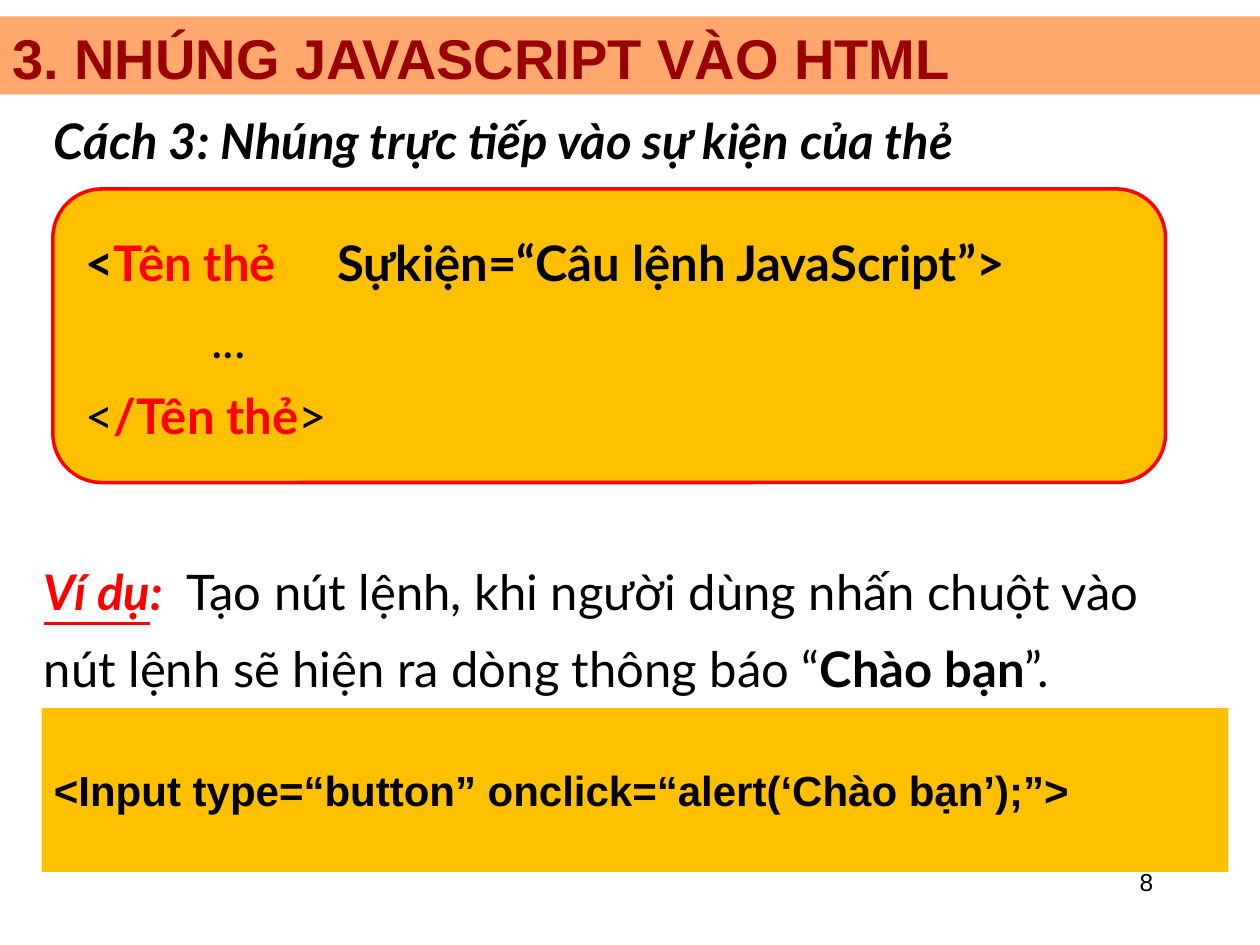
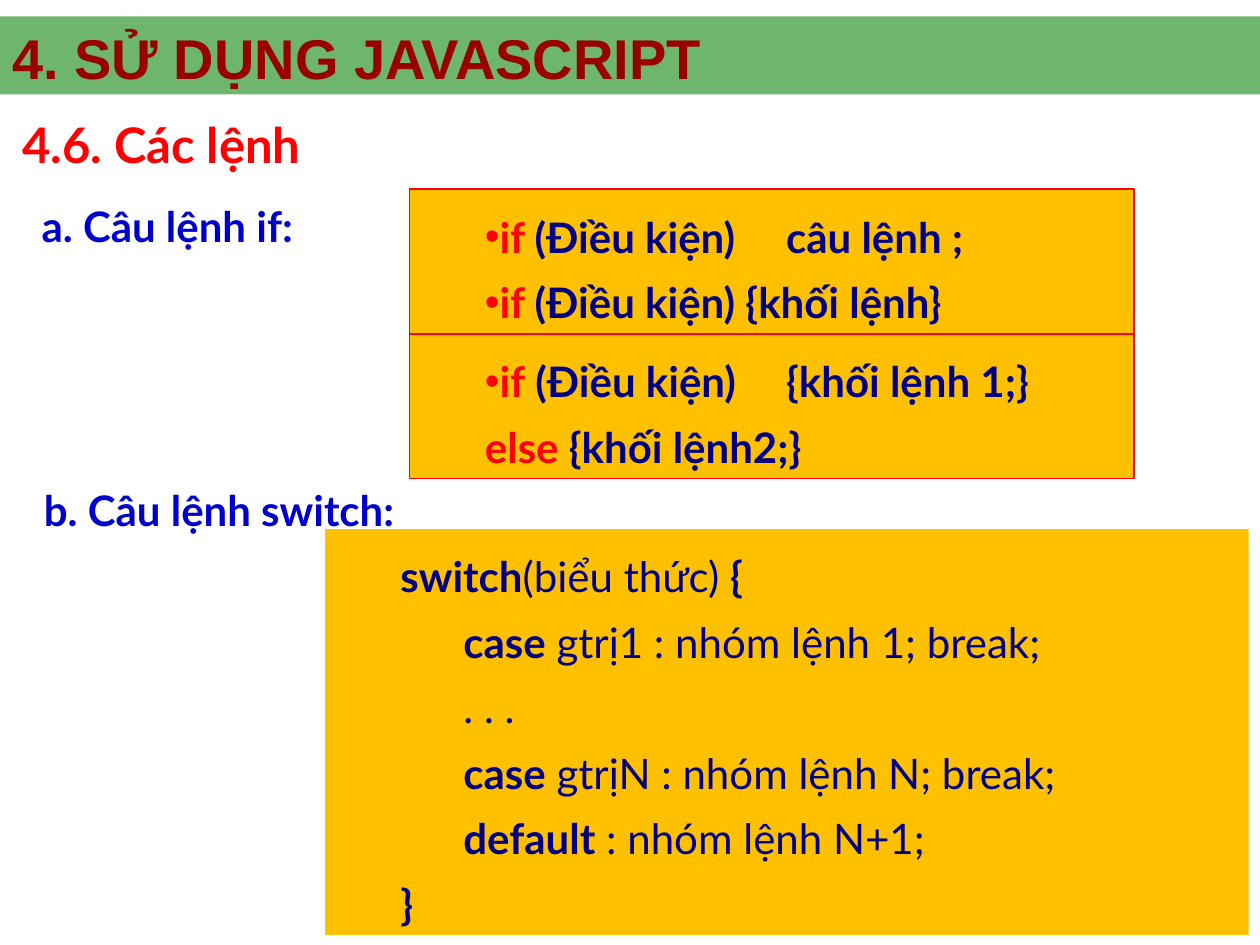
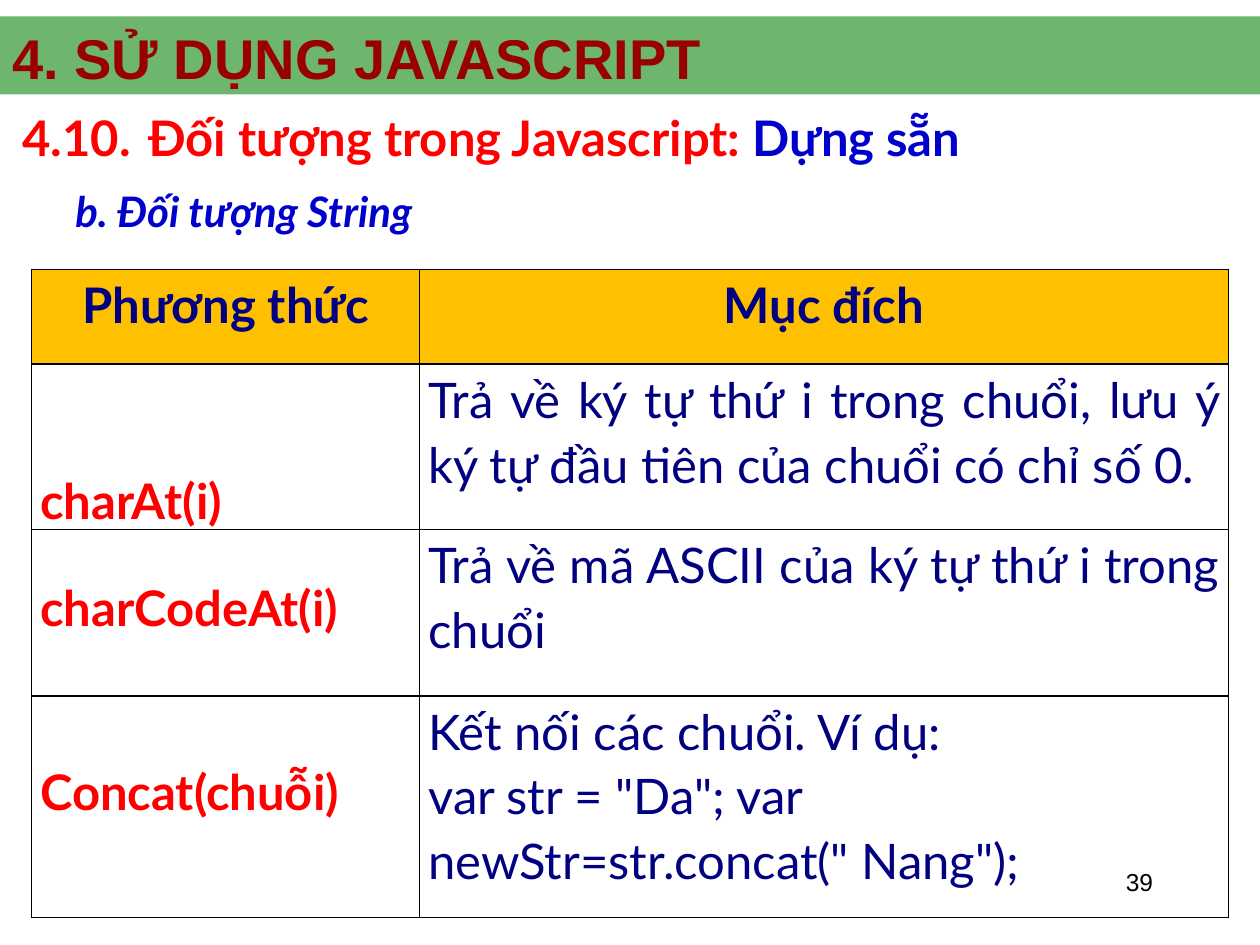
from lxml import etree
from pptx import Presentation, util as u
from pptx.dml.color import RGBColor
from pptx.enum import shapes, text
from pptx.oxml.ns import qn

WIDE, HIGH = 10, 7.5
BLACK = RGBColor(0, 0, 0)
RED = RGBColor(255, 0, 0)
BLUE = RGBColor(0, 0, 204)
NAVY = RGBColor(0, 0, 128)
MAROON = RGBColor(153, 0, 0)
GOLD = RGBColor(255, 192, 0)
ORANGE = RGBColor(255, 102, 0)
GREEN = RGBColor(0, 128, 0)
LEFT, MID, RIGHT, JUST = (text.PP_ALIGN.LEFT, text.PP_ALIGN.CENTER,
                          text.PP_ALIGN.RIGHT, text.PP_ALIGN.JUSTIFY)
TOP, CORE = text.MSO_ANCHOR.TOP, text.MSO_ANCHOR.MIDDLE
RECT, ROUND = shapes.MSO_SHAPE.RECTANGLE, shapes.MSO_SHAPE.ROUNDED_RECTANGLE

HEADS = [("3. NHÚNG JAVASCRIPT VÀO HTML", ORANGE, "8"),
         ("4. SỬ DỤNG JAVASCRIPT", GREEN, None),
         ("4. SỬ DỤNG JAVASCRIPT", GREEN, "39")]

WAY = [[("Cách 3: Nhúng trực tiếp vào sự kiện của thẻ", BLACK, "bi")]]
TAG = [
    [("<", BLACK, "b"), ("Tên thẻ\t", RED, "b"),
     ("Sựkiện=“Câu lệnh JavaScript”>", BLACK, "b")],
    [("...", BLACK, "")],
    [("<", BLACK, ""), ("/Tên thẻ", RED, "b"), (">", BLACK, "")],
]
DEMO = [[
    ("Ví dụ", RED, "biu"), (":\t", RED, "bi"),
    ("Tạo nút lệnh, khi người dùng nhấn chuột vào nút lệnh sẽ hiện ra "
     "dòng thông báo “", BLACK, ""),
    ("Chào bạn", BLACK, "b"), ("”.", BLACK, ""),
]]
INPUT = [[("<Input type=“button” onclick=“alert(‘Chào bạn’);”>", BLACK, "b")]]

IFS = [
    [[("if ", RED, "b"), ("(Điều kiện)\tcâu lệnh ;", NAVY, "b")],
     [("if ", RED, "b"), ("(Điều kiện) {khối lệnh}", NAVY, "b")]],
    [[("if", RED, "b"), (" (Điều kiện)\t{khối lệnh 1;}", NAVY, "b")],
     [("else", RED, "b"), (" {khối lệnh2;}", NAVY, "b")]],
]
SWITCH = [
    [("switch", NAVY, "b"), ("(biểu thức) ", NAVY, ""), ("{", NAVY, "b")],
    [("case", NAVY, "b"), (" gtrị1 : nhóm lệnh 1; break;", NAVY, "")],
    [(". . .", NAVY, "")],
    [("case", NAVY, "b"), (" gtrịN : nhóm lệnh N; break;", NAVY, "")],
    [("default", NAVY, "b"), (" : nhóm lệnh N+1;", NAVY, "")],
    [("}", NAVY, "b")],
]

COLS = [3.08, 6.42]
ROWS = [0.75, 1.31, 1.32, 1.76]
DROPS = [0, 0.8, 0.34, 0.48]
GRID = [
    ("Phương thức", ["Mục đích"]),
    ("charAt(i)", ["Trả về ký tự thứ i trong chuổi, lưu ý ký tự đầu tiên "
                   "của chuổi có chỉ số 0."]),
    ("charCodeAt(i)", ["Trả về mã ASCII của ký tự thứ i trong chuổi"]),
    ("Concat(chuỗi)", ["Kết nối các chuổi. Ví dụ:",
                       'var str = "Da"; var newStr=str.concat(" Nang");']),
]


def add(node, tag, **attrs):
    kid = etree.SubElement(node, qn(tag))
    for key, val in attrs.items():
        kid.set(key, str(val))
    return kid


def write(frame, paras, size=28, font="Lato", align=LEFT, gap=None,
          dents=None, dots=(), tab=None):
    frame.word_wrap = True
    for n, runs in enumerate(paras):
        para = frame.paragraphs[0] if n == 0 else frame.add_paragraph()
        para.alignment = align
        if gap:
            para.line_spacing = gap
        props = para._p.get_or_add_pPr()
        if dents:
            props.set("marL", "0")
            props.set("indent", str(u.Inches(dents[n])))
        if n in dots:
            add(props, "a:buFont", typeface="Arial")
            add(props, "a:buChar", char="•")
        if tab and any("\t" in run[0] for run in runs):
            stops = add(props, "a:tabLst")
            add(stops, "a:tab", pos=u.Inches(tab), algn="l")
        for words, tint, marks in runs:
            run = para.add_run()
            run.text = words
            face = run.font
            face.name, face.size = font, u.Pt(size)
            face.color.rgb = tint
            face.bold, face.italic = "b" in marks, "i" in marks
            face.underline = "u" in marks


def label(slide, at, paras, anchor=TOP, **form):
    box = slide.shapes.add_textbox(*map(u.Inches, at))
    write(box.text_frame, paras, **form)
    box.text_frame.vertical_anchor = anchor
    return box


def panel(slide, at, paras=(), kind=RECT, fill=GOLD, line=0, **form):
    box = slide.shapes.add_shape(kind, *map(u.Inches, at))
    box.shadow.inherit = False
    box.fill.solid()
    box.fill.fore_color.rgb = fill
    if line:
        box.line.color.rgb = RED
        box.line.width = u.Pt(line)
    else:
        box.line.fill.background()
    if paras:
        write(box.text_frame, paras, **form)
        box.text_frame.vertical_anchor = CORE
    return box


def start(deck, head, tint, page):
    slide = deck.slides.add_slide(deck.slide_layouts[6])
    if page:
        label(slide, (7.17, 6.83, 2.08, 0.5), [[(page, BLACK, "")]],
              size=14, font="Arial", align=RIGHT)
    band = panel(slide, (0, 0.13, WIDE, 0.62), fill=tint)
    add(band._element.spPr.find(qn("a:solidFill"))[0], "a:alpha", val=57000)
    label(slide, (0, 0.24, WIDE, 0.42), [[(head, MAROON, "b")]], CORE,
          size=32, font="Arial")
    return slide


def embed(slide):
    label(slide, (0.33, 0.83, 9.33, 0.7), WAY)
    panel(slide, (0.42, 1.5, 8.83, 2.33), kind=ROUND, line=2)
    label(slide, (0.25, 4.27, 9.42, 1.32), DEMO, gap=1.3, tab=1.13)
    panel(slide, (0.33, 5.62, 9.42, 1.3), INPUT, size=24, font="Arial")
    label(slide, (0.58, 1.66, 8.67, 1.92), TAG, gap=1.3,
          dents=[0, 1, 0], tab=1.8)


def branch(slide):
    label(slide, (0.08, 0.83, 9.33, 0.63),
          [[("4.6. Các lệnh", RED, "b")]], CORE)
    name = label(slide, (0.33, 1.42, 2.75, 0.61),
                 [[("a. Câu lệnh if:", BLUE, "b")]], CORE, size=24)
    frame = name.text_frame
    frame.margin_left = frame.margin_right = 0
    frame.margin_top, frame.margin_bottom = u.Inches(0.17), u.Inches(0.04)
    tall = 1.15
    for n, paras in enumerate(IFS):
        panel(slide, (3.25, 1.5 + n * tall, 5.75, tall), paras, line=0.75,
              size=24, gap=1.3, dents=[0.5, 0.5],
              dots=(0, 1) if n == 0 else (0,), tab=2.89)
    label(slide, (0.25, 3.67, 3.75, 0.75),
          [[("b. Câu lệnh switch:", BLUE, "b")]], CORE, size=24)
    panel(slide, (2.58, 4.2, 7.33, 3.22), SWITCH, size=24, gap=1.3,
          dents=[0.5, 1, 1, 1, 1, 0.5])


def edge(cell):
    props = cell._tc.get_or_add_tcPr()
    for side in "LRTB":
        line = add(props, "a:ln" + side, w=u.Pt(1))
        add(add(line, "a:solidFill"), "a:srgbClr", val=BLACK)


def methods(slide):
    label(slide, (0.08, 0.75, 9.5, 0.67),
          [[("4.10.\tĐối tượng trong Javascript: ", RED, "b"),
            ("Dựng sẵn", BLUE, "b")]], CORE, tab=1)
    label(slide, (0.5, 1.42, 3.4, 0.5),
          [[("b. Đối tượng String", BLUE, "bi")]], size=24)
    at = (0.25, 2.14, sum(COLS), sum(ROWS))
    table = slide.shapes.add_table(len(ROWS), len(COLS),
                                   *map(u.Inches, at)).table
    table.first_row = table.horz_banding = False
    for col, wide in zip(table.columns, COLS):
        col.width = u.Inches(wide)
    for r, (name, lines) in enumerate(GRID):
        table.rows[r].height = u.Inches(ROWS[r])
        for c, words in enumerate([[name], lines]):
            cell = table.cell(r, c)
            edge(cell)
            cell.margin_left = cell.margin_right = u.Inches(0.07)
            cell.margin_top = u.Inches(DROPS[r] if c == 0 else 0)
            cell.margin_bottom = 0
            if r == 0:
                cell.fill.solid()
                cell.fill.fore_color.rgb = GOLD
            else:
                cell.fill.background()
            tint = RED if r and c == 0 else NAVY
            marks = "b" if r == 0 or c == 0 else ""
            write(cell.text_frame, [[(line, tint, marks)] for line in words],
                  align=JUST if r else MID, gap=1.1)
            for para in cell.text_frame.paragraphs[1:]:
                para.alignment = LEFT


def main():
    deck = Presentation()
    deck.slide_width, deck.slide_height = u.Inches(WIDE), u.Inches(HIGH)
    for head, build in zip(HEADS, [embed, branch, methods]):
        build(start(deck, *head))
    deck.save("out.pptx")


if __name__ == "__main__":
    main()
